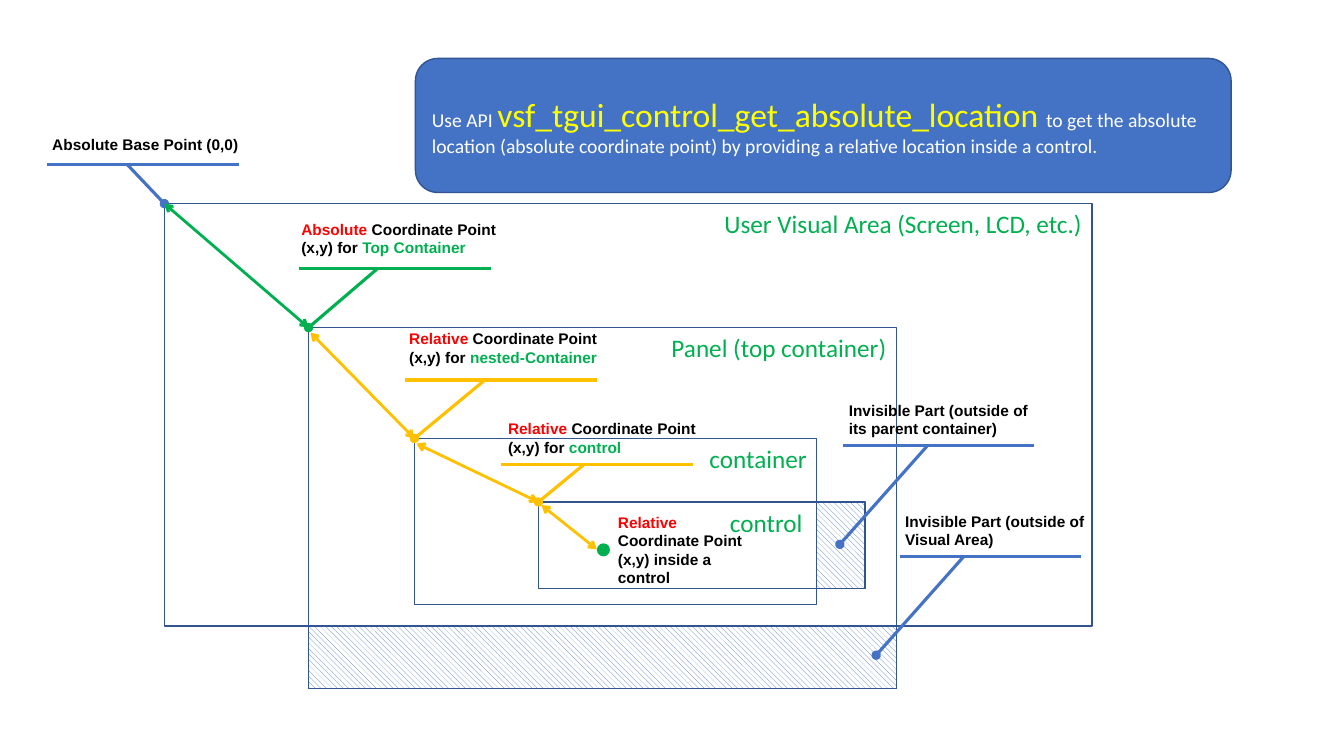
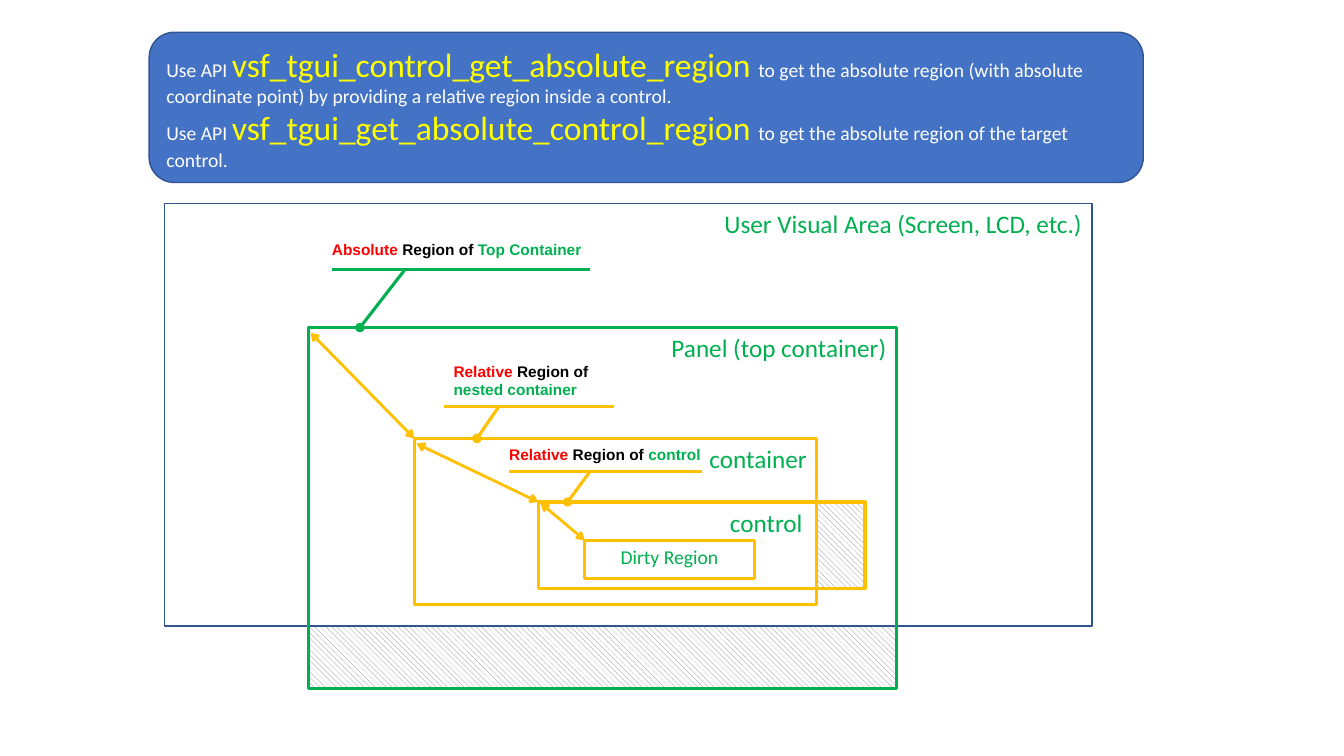
import typing

import pptx
import pptx.dml.color
import pptx.enum.dml
import pptx.enum.shapes
import pptx.enum.text
import pptx.oxml
import pptx.oxml.ns
import pptx.util

RGBColor = pptx.dml.color.RGBColor
SHAPES = pptx.enum.shapes.MSO_SHAPE
ALIGN = pptx.enum.text.PP_ALIGN
ANCHOR = pptx.enum.text.MSO_ANCHOR

BLUE = RGBColor(0x44, 0x72, 0xC4)
NAVY = RGBColor(0x32, 0x54, 0x91)
GREEN = RGBColor(0x00, 0xB0, 0x50)
AMBER = RGBColor(0xFF, 0xC0, 0x00)
RED = RGBColor(0xFF, 0x00, 0x00)
YELLOW = RGBColor(0xFF, 0xFF, 0x00)
GRAY = RGBColor(0x80, 0x80, 0x80)
BLACK = RGBColor(0x00, 0x00, 0x00)
WHITE = RGBColor(0xFF, 0xFF, 0xFF)

COLUMNS, ROWS = 13.33, 7.5
WIDTH, HEIGHT = pptx.util.Inches(COLUMNS), pptx.util.Inches(ROWS)
THIN, ARROW, THICK = 1, 2, 2.25


class Box(typing.NamedTuple):
    """A rectangle in grid columns and rows."""
    left: float
    top: float
    width: float
    height: float

    @property
    def right(self):
        """Column of the right edge."""
        return self.left + self.width

    @property
    def bottom(self):
        """Row of the bottom edge."""
        return self.top + self.height

    def corner(self, across=0, down=0):
        """Point offset from the top left corner."""
        return self.left + across, self.top + down


SCREEN = Box(1.63, 2.02, 9.2, 4.19)
PANEL = Box(3.06, 3.25, 5.83, 3.58)
CONTAINER = Box(4.11, 4.35, 3.99, 1.65)
CONTROL = Box(5.34, 4.98, 3.24, 0.86)
DIRTY = Box(5.8, 5.36, 1.68, 0.38)
BEYOND_CONTAINER = Box(CONTAINER.right, CONTROL.top,
                       CONTROL.right - CONTAINER.right, CONTROL.height)
BEYOND_SCREEN = Box(PANEL.left, SCREEN.bottom,
                    PANEL.width, PANEL.bottom - SCREEN.bottom)


def place(columns, rows):
    """Turn a grid point or extent into slide lengths."""
    return round(WIDTH * columns / COLUMNS), round(HEIGHT * rows / ROWS)


def fill_runs(paragraph, parts, font, bold=False):
    """Write (text, colour, size) parts as runs of one paragraph."""
    for text, color, size in parts:
        run = paragraph.add_run()
        run.text = text
        run.font.name = font
        run.font.size = pptx.util.Pt(size)
        run.font.bold = bold
        run.font.color.rgb = color


def add_outline(slide, box, line, weight, kind=SHAPES.RECTANGLE):
    """Add an unfilled shape; no line colour means no line."""
    shape = slide.shapes.add_shape(kind, *place(box.left, box.top),
                                   *place(box.width, box.height))
    shape.shadow.inherit = False
    shape.fill.background()
    if line is None:
        shape.line.fill.background()
    else:
        shape.line.color.rgb = line
        shape.line.width = pptx.util.Pt(weight)
    return shape


def add_frame(slide, box, label, line=NAVY, weight=THIN, size=18,
              align=ALIGN.RIGHT, inset=0.1):
    """Add a named region with its label at the top."""
    frame = add_outline(slide, box, line, weight).text_frame
    frame.word_wrap = True
    frame.vertical_anchor = ANCHOR.TOP
    frame.margin_right = place(inset, 0)[0]
    frame.paragraphs[0].alignment = align
    fill_runs(frame.paragraphs[0], [(label, GREEN, size)], "Calibri")


def add_hatch(slide, box, ink, line=None):
    """Add the striped area of a region that is cut off."""
    fill = add_outline(slide, box, line, THIN).fill
    fill.patterned()
    fill.pattern = pptx.enum.dml.MSO_PATTERN.WIDE_DOWNWARD_DIAGONAL
    fill.fore_color.rgb = ink
    fill.back_color.rgb = WHITE


def add_line(slide, start, end, color, weight=THICK, head=None, tail=None):
    """Add a straight line with optional end marks."""
    line = slide.shapes.add_connector(pptx.enum.shapes.MSO_CONNECTOR.STRAIGHT,
                                      *place(*start), *place(*end))
    line.line.color.rgb = color
    line.line.width = pptx.util.Pt(weight)
    stroke = line.line._get_or_add_ln()
    for tag, mark in (("a:headEnd", head), ("a:tailEnd", tail)):
        if mark:
            pptx.oxml.xmlchemy.OxmlElement(tag)
            end_mark = pptx.oxml.xmlchemy.OxmlElement(tag)
            end_mark.set("type", mark)
            stroke.append(end_mark)
    stroke.getparent().append(pptx.oxml.xmlchemy.OxmlElement("a:effectLst"))


def add_offset(slide, start, end, color=AMBER):
    """Add a double arrow between two coordinate points."""
    add_line(slide, start, end, color, ARROW, head="arrow", tail="arrow")


def add_note(slide, box, parts, align=ALIGN.LEFT):
    """Add a bold note from (text, colour) parts."""
    note = slide.shapes.add_textbox(*place(box.left, box.top),
                                    *place(box.width, box.height))
    frame = note.text_frame
    frame.word_wrap = True
    frame.auto_size = pptx.enum.text.MSO_AUTO_SIZE.SHAPE_TO_FIT_TEXT
    frame.paragraphs[0].alignment = align
    fill_runs(frame.paragraphs[0], [(*part, 11) for part in parts],
              "Arial", bold=True)


def add_callout(slide, box, parts, rule, stem, target, color,
                align=ALIGN.LEFT):
    """Add a note over a (left, right, row) rule and a stem to its target."""
    left, right, row = rule
    add_line(slide, (left, row), (right, row), color)
    add_line(slide, (stem, row), target, color, tail="oval")
    add_note(slide, box, parts, align)


def add_banner(slide, box, sentences):
    """Add the blue banner from (function name, explanation) pairs."""
    banner = add_outline(slide, box, NAVY, THIN,
                         SHAPES.FLOWCHART_ALTERNATE_PROCESS)
    banner.fill.solid()
    banner.fill.fore_color.rgb = BLUE
    frame = banner.text_frame
    frame.word_wrap = True
    frame.vertical_anchor = ANCHOR.MIDDLE
    for index, (function, explanation) in enumerate(sentences):
        paragraph = frame.add_paragraph() if index else frame.paragraphs[0]
        paragraph.alignment = ALIGN.LEFT
        fill_runs(paragraph, [("Use API ", WHITE, 14),
                              (function + " ", YELLOW, 24),
                              (explanation, WHITE, 14)], "Calibri")


def add_regions(slide, panel_style, inner_style):
    """Add the nested regions in (line colour, weight) styles."""
    add_frame(slide, SCREEN, "User Visual Area (Screen, LCD, etc.)")
    add_frame(slide, PANEL, "Panel (top container)", *panel_style)
    add_frame(slide, CONTAINER, "container", *inner_style)
    add_frame(slide, CONTROL, "control", *inner_style, inset=0.62)


def add_nested_offsets(slide):
    """Add the arrows from panel to container and on to control."""
    for outer, inner in ((PANEL, CONTAINER), (CONTAINER, CONTROL)):
        add_offset(slide, outer.corner(0.02, 0.05), inner.corner())


def build_location_slide(slide):
    """Explain how a relative location becomes absolute."""
    add_regions(slide, (NAVY, THIN), (NAVY, THIN))
    for hidden in (BEYOND_CONTAINER, BEYOND_SCREEN):
        add_hatch(slide, hidden, BLUE, NAVY)
    add_callout(slide, Box(0.42, 1.29, 2.06, 0.29),
                [("Absolute Base Point (0,0)", BLACK)],
                (0.47, 2.37, 1.63), 1.26, SCREEN.corner(), BLUE)
    add_offset(slide, SCREEN.corner(), PANEL.corner(), GREEN)

    points = (
        ("Absolute", "Top Container", (2.89, 2.13), (2.97, 2.66), 3.75,
         PANEL, GREEN),
        ("Relative", "nested-Container", (3.96, 3.22), (4.02, 3.77), 4.81,
         CONTAINER, AMBER),
        ("Relative", "control", (4.94, 4.11), (4.97, 4.61), 5.79,
         CONTROL, AMBER),
    )
    for kind, owner, corner, (left, row), stem, region, color in points:
        add_callout(slide, Box(*corner, 2.15, 0.47),
                    [(kind, RED), (" Coordinate Point (x,y) for ", BLACK),
                     (owner, GREEN)],
                    (left, left + 1.9, row), stem, region.corner(), color)

    invisible = (
        ("its parent container)", (8.32, 3.93), (8.36, 10.26, 4.42), 9.2),
        ("Visual Area)", (8.88, 5.03), (8.93, 10.72, 5.52), 9.56),
    )
    for limit, corner, rule, stem in invisible:
        add_callout(slide, Box(*corner, 2.06, 0.47),
                    [("Invisible Part (outside of " + limit, BLACK)],
                    rule, stem, (stem - 0.87, rule[2] + 0.98), BLUE)

    add_nested_offsets(slide)
    add_banner(slide, Box(4.12, 0.58, 8.09, 1.33), [
        ("vsf_tgui_control_get_absolute_location",
         "to get the absolute location (absolute coordinate point) by "
         "providing a relative location inside a control.")])
    location = add_outline(slide, Box(5.92, 5.39, 0.13, 0.13), None, THIN,
                           SHAPES.OVAL)
    location.fill.solid()
    location.fill.fore_color.rgb = GREEN
    add_offset(slide, CONTROL.corner(0.03, 0.03), (5.92, 5.45))
    add_note(slide, Box(6.03, 5.04, 1.52, 0.84),
             [("Relative", RED),
              (" Coordinate Point (x,y) inside a control", BLACK)])


def build_region_slide(slide):
    """Explain how a relative region becomes absolute."""
    for hidden in (BEYOND_CONTAINER, BEYOND_SCREEN):
        add_hatch(slide, hidden, GRAY)
    add_regions(slide, (GREEN, THICK), (AMBER, THICK))

    regions = (
        ("Absolute", "Top Container", Box(3.06, 2.33, 2.94, 0.29),
         (3.29, 5.85, 2.67), 4.02, PANEL.corner(0.51), GREEN, ALIGN.CENTER),
        ("Relative", "nested container", Box(4.4, 3.54, 1.7, 0.47),
         (4.4, 6.09, 4.03), 4.95, CONTAINER.corner(0.62), AMBER, ALIGN.LEFT),
        ("Relative", "control", Box(4.86, 4.37, 2.28, 0.29),
         (5.05, 6.96, 4.68), 5.85, CONTROL.corner(0.29), AMBER, ALIGN.CENTER),
    )
    for kind, owner, box, rule, stem, target, color, align in regions:
        add_callout(slide, box, [(kind, RED), (" Region of ", BLACK),
                                 (owner, GREEN)],
                    rule, stem, target, color, align)

    add_nested_offsets(slide)
    add_banner(slide, Box(1.48, 0.32, 9.86, 1.49), [
        ("vsf_tgui_control_get_absolute_region",
         "to get the absolute region (with absolute coordinate point) by "
         "providing a relative region inside a control."),
        ("vsf_tgui_get_absolute_control_region",
         "to get the absolute region of the target control.")])
    add_frame(slide, DIRTY, "Dirty Region", AMBER, THICK, 14, ALIGN.CENTER)
    add_offset(slide, CONTROL.corner(0.02, 0.01), DIRTY.corner())


def main():
    """Build and save both slides."""
    deck = pptx.Presentation()
    deck.slide_width, deck.slide_height = WIDTH, HEIGHT
    blank = deck.slide_layouts[6]
    for build in (build_location_slide, build_region_slide):
        build(deck.slides.add_slide(blank))
    deck.save("out.pptx")


main()
